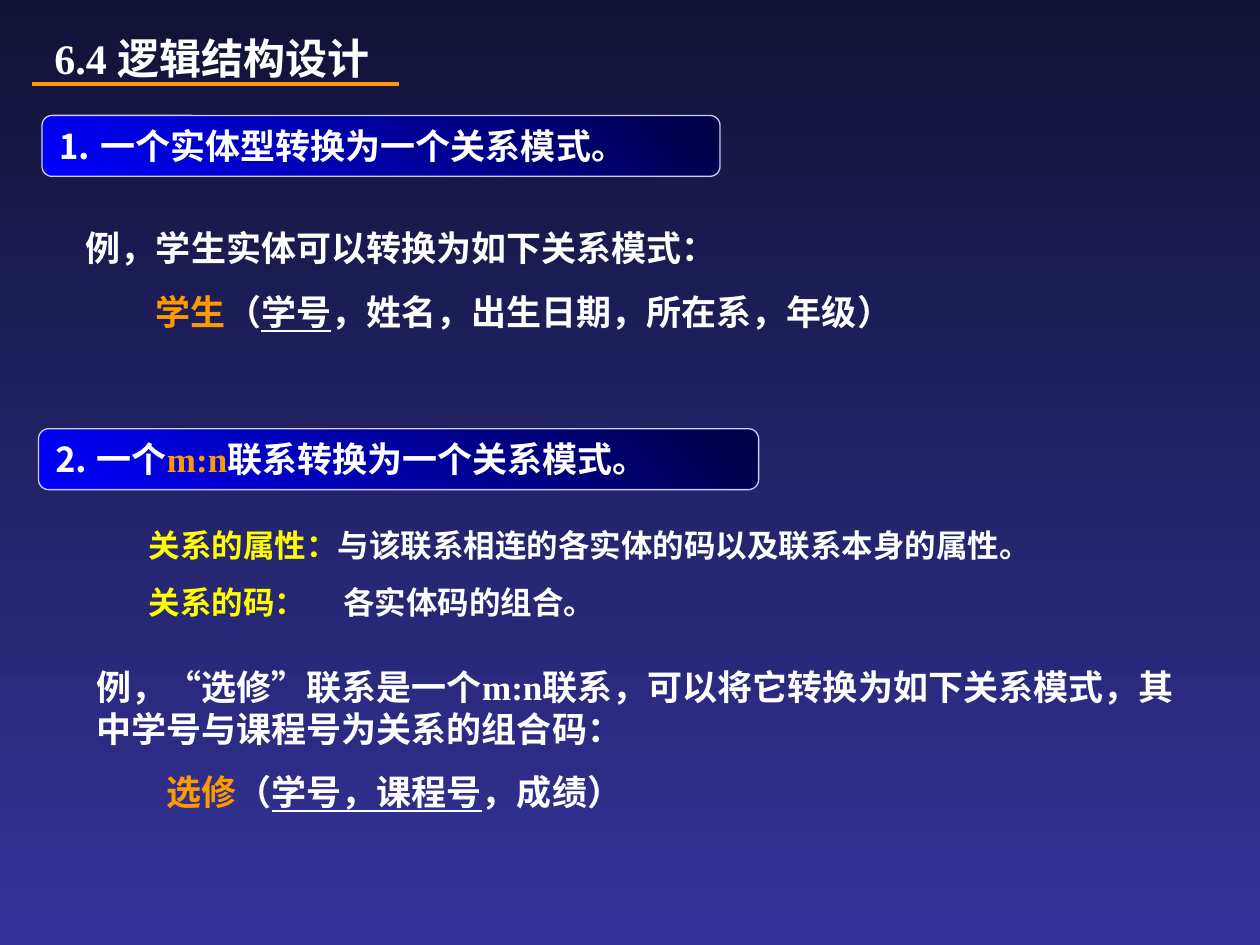
import pptx
import pptx.dml.color
import pptx.enum.shapes
import pptx.enum.text
import pptx.oxml.ns
import pptx.util
from lxml import etree

Pt = pptx.util.Pt
RGB = pptx.dml.color.RGBColor
WHITE = RGB(0xFF, 0xFF, 0xFF)
ORANGE = RGB(0xFF, 0x99, 0x00)
YELLOW = RGB(0xFF, 0xFF, 0x00)
PALE = RGB(0xCC, 0xCC, 0xFF)
BLUE = RGB(0x00, 0x00, 0xFF)
NAVY = RGB(0x00, 0x00, 0x43)
NIGHT = RGB(0x12, 0x12, 0x37)
INDIGO = RGB(0x33, 0x33, 0x99)
LATIN, HAN = "Times New Roman", "Noto Sans CJK SC"


def child(node, tag, **attrs):
    return etree.SubElement(node, pptx.oxml.ns.qn(tag), attrs)


def write(para, text, size=20, color=WHITE, line=False):
    """Add one bold run to a paragraph."""
    run = para.add_run()
    run.text = text
    font = run.font
    font.name, font.size, font.bold = LATIN, Pt(size), True
    font.color.rgb = color
    if line:
        font.underline = True
    child(font._element, "a:ea", typeface=HAN)


class Deck:
    def __init__(self):
        self.prs = pptx.Presentation()
        self.prs.slide_width, self.prs.slide_height = Pt(720), Pt(540)
        self.slide = self.prs.slides.add_slide(self.prs.slide_layouts[6])
        self.blend(self.slide.background.fill, NIGHT, INDIGO, 270)

    def blend(self, fill, start, end, angle):
        fill.gradient()
        fill.gradient_angle = angle
        for stop, color in zip(fill.gradient_stops, (start, end)):
            stop.color.rgb = color

    def fill_text(self, frame, paras, size, gap=0, space=None, dent=0, tab=0):
        """Each paragraph is a list of (text, format) pairs."""
        frame.word_wrap = True
        for i, runs in enumerate(paras):
            para = frame.paragraphs[0] if i == 0 else frame.add_paragraph()
            para.alignment = pptx.enum.text.PP_ALIGN.LEFT
            if space:
                para.line_spacing = space
            if i:
                para.space_before = Pt(gap)
                props = para._p.get_or_add_pPr()
                if dent:
                    props.set("marL", str(Pt(dent)))
                if tab:
                    tabs = child(props, "a:tabLst")
                    child(tabs, "a:tab", pos=str(Pt(tab)), algn="l")
            for text, style in runs:
                write(para, text, size=size, **style)

    def text(self, x, y, w, h, paras, size=20, middle=False, **kind):
        frame = self.slide.shapes.add_textbox(Pt(x), Pt(y), Pt(w), Pt(h)).text_frame
        if middle:
            frame.vertical_anchor = pptx.enum.text.MSO_ANCHOR.MIDDLE
        self.fill_text(frame, paras, size, **kind)

    def rule(self, x, y, w):
        line = self.slide.shapes.add_connector(
            pptx.enum.shapes.MSO_CONNECTOR.STRAIGHT, Pt(x), Pt(y), Pt(x + w), Pt(y))
        line.line.color.rgb = ORANGE
        line.line.width = Pt(2.25)
        child(line._element.spPr, "a:effectLst")

    def banner(self, x, y, w, runs):
        box = self.slide.shapes.add_shape(
            pptx.enum.shapes.MSO_SHAPE.ROUNDED_RECTANGLE, Pt(x), Pt(y), Pt(w), Pt(34.8))
        box.shadow.inherit = False
        self.blend(box.fill, BLUE, NAVY, 45)
        box.line.color.rgb = PALE
        box.line.width = Pt(0.75)
        box.text_frame.vertical_anchor = pptx.enum.text.MSO_ANCHOR.TOP
        self.fill_text(box.text_frame, [runs], 20)


def main():
    gold, lemon, under = {"color": ORANGE}, {"color": YELLOW}, {"line": True}
    deck = Deck()

    # Title
    deck.text(24, 15, 324, 36, [[("6.4 ", {}), ("逻辑结构设计", {})]],
              size=24, middle=True)
    deck.rule(18, 48, 210)

    # Rule 1: entity type
    deck.banner(24, 66, 387.5, [("⒈ 一个实体型转换为一个关系模式。", {})])
    deck.text(42, 126, 612, 68, [
        [("例，学生实体可以转换为如下关系模式：", {})],
        [("学生", gold), ("（", {}), ("学号", under),
         ("，姓名，出生日期，所在系，年级）", {})],
    ], gap=12.5, dent=40)

    # Rule 2: m:n relationship
    deck.banner(22, 245, 411.5, [
        ("⒉ 一个", {}), ("m:n", gold), ("联系转换为一个关系模式。", {})])
    deck.text(78, 286.5, 624, 72, [
        [("关系的属性：", lemon),
         ("与该联系相连的各实体的码以及联系本身的属性。", {})],
        [("关系的码：", lemon), ("\t各实体码的组合。", {})],
    ], size=18, space=1.5, tab=111)
    deck.text(48, 376.5, 642, 92, [
        [("例，“选修”联系是一个m:n联系，可以将它转换为如下关系模式，"
          "其中学号与课程号为关系的组合码：", {})],
        [("选修", gold), ("（", {}), ("学号，课程号", under), ("，成绩）", {})],
    ], gap=12.5, dent=40)

    deck.prs.save("out.pptx")


if __name__ == "__main__":
    main()
